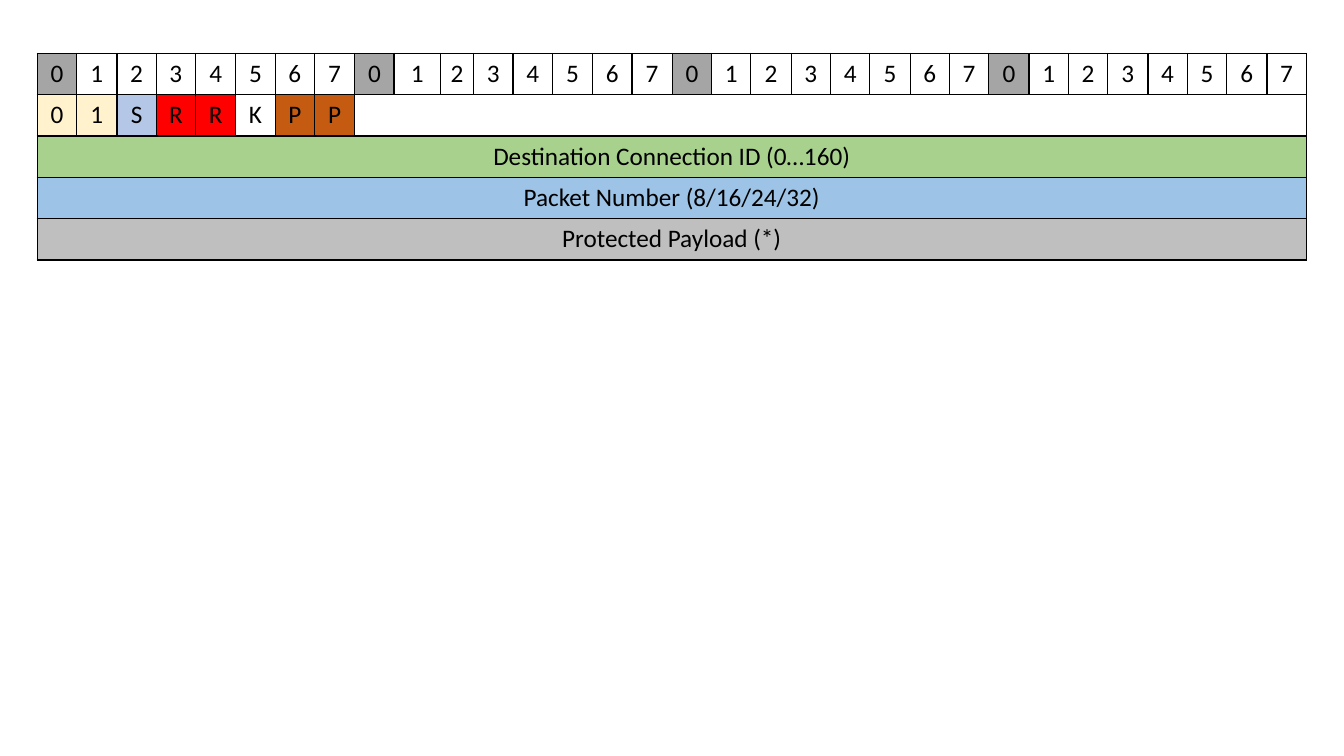
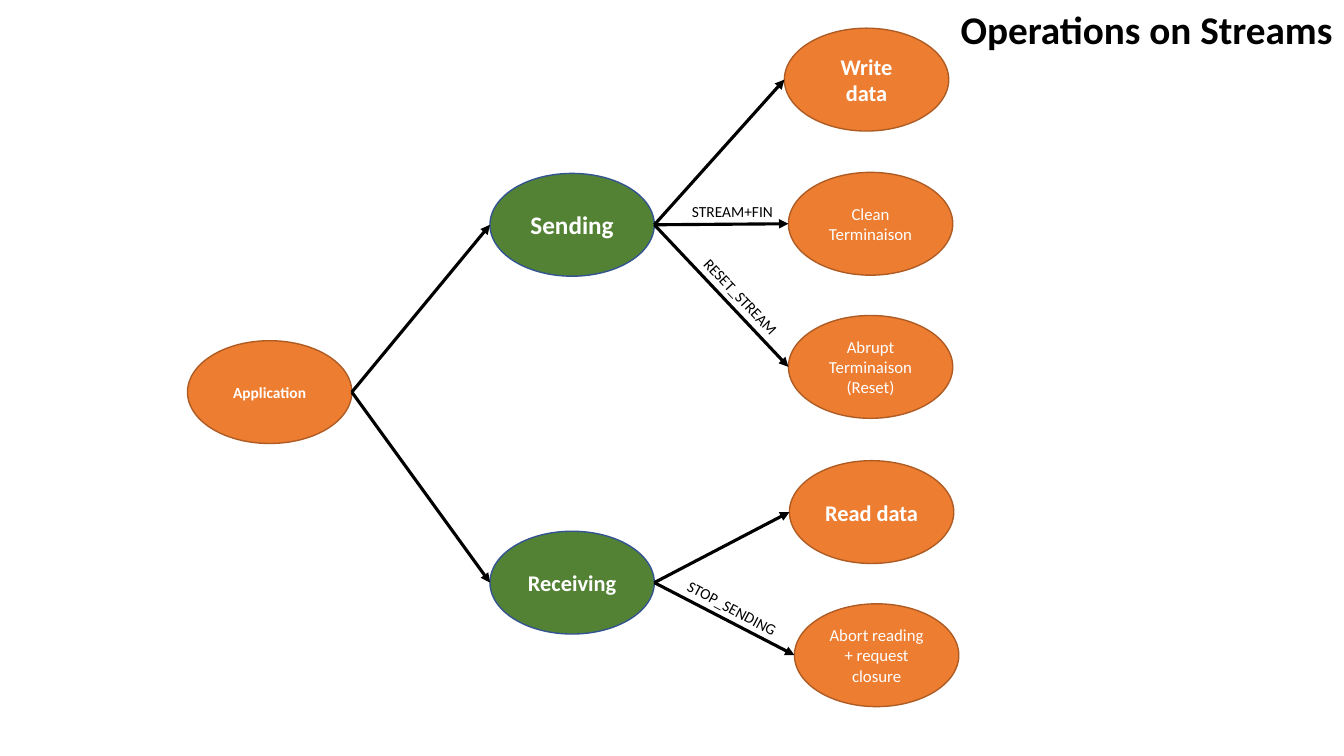
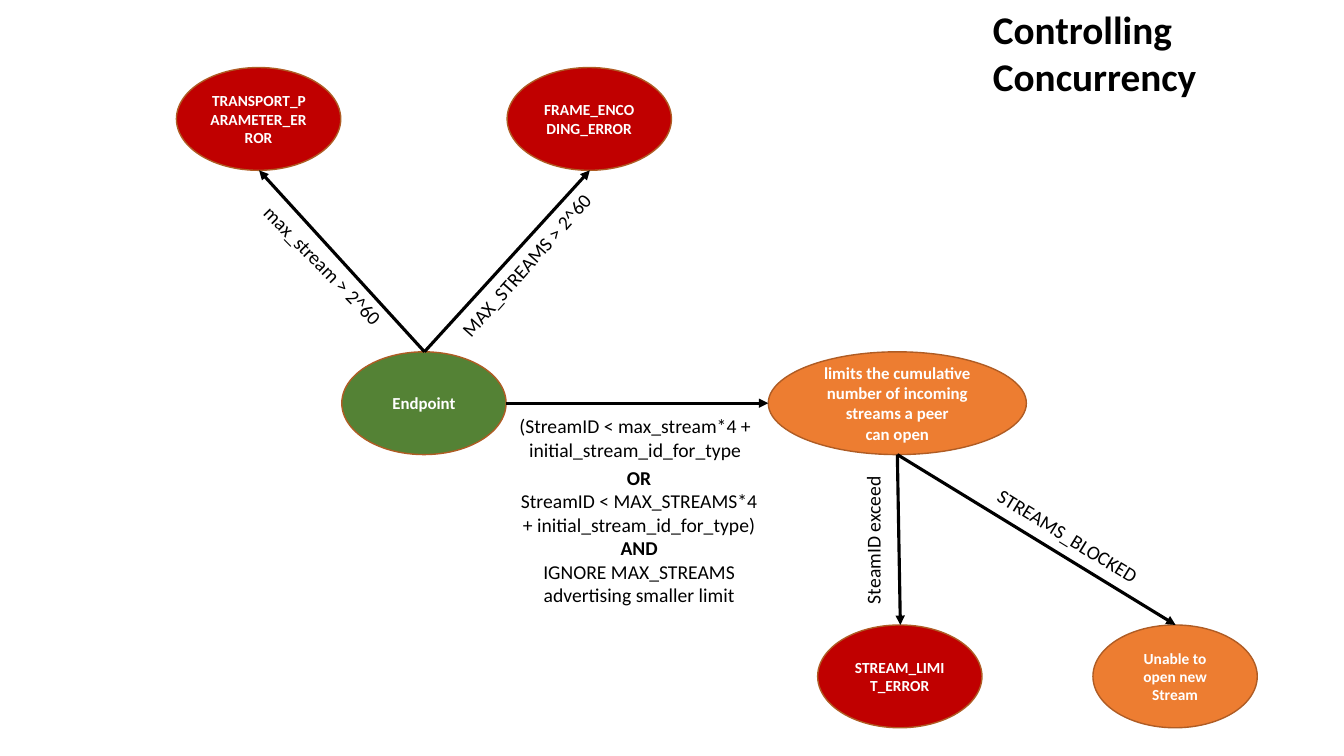
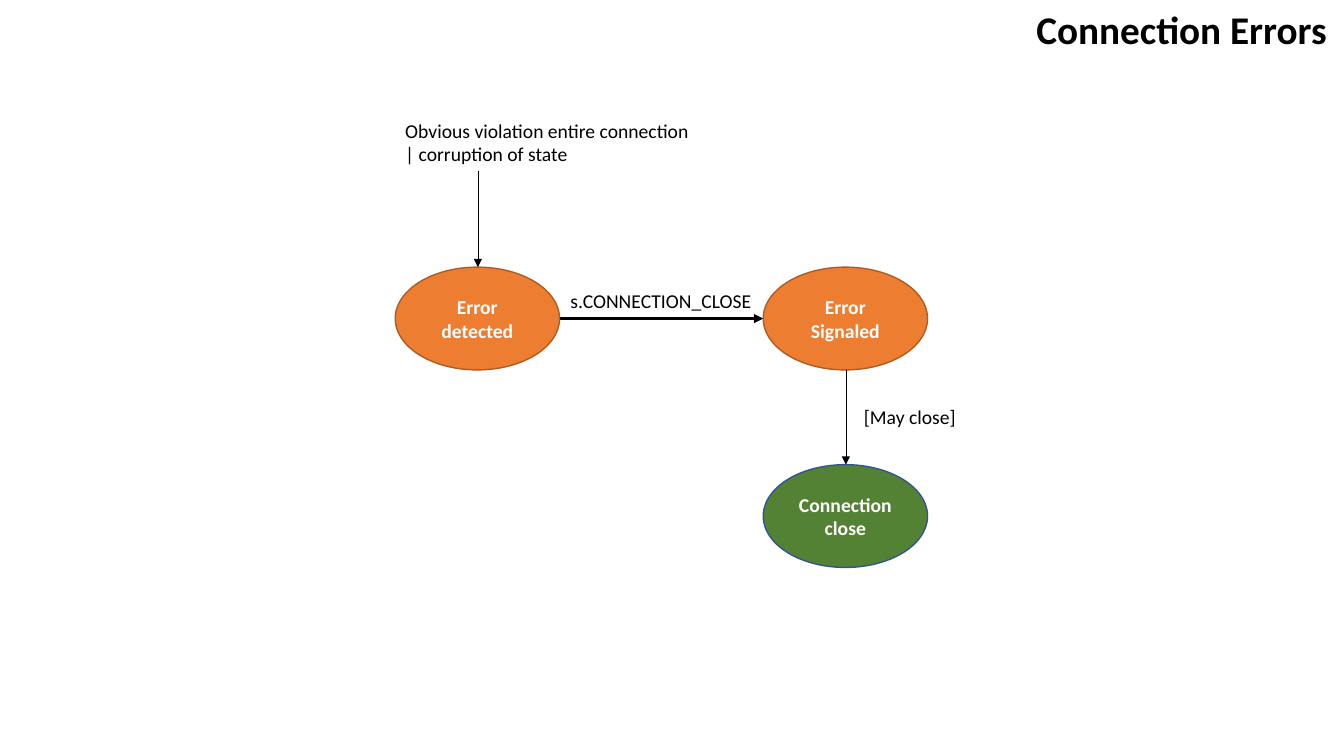
from lxml import etree
from pptx import Presentation
from pptx import util as u
from pptx.dml.color import RGBColor
from pptx.enum import shapes, text
from pptx.oxml.ns import qn

PX = 9144  # 100 px to the inch
FONT = "Calibri"
BLACK = RGBColor(0x00, 0x00, 0x00)
WHITE = RGBColor(0xFF, 0xFF, 0xFF)
ORANGE = RGBColor(0xED, 0x7D, 0x31)
RUST = RGBColor(0xAF, 0x5C, 0x24)
GREEN = RGBColor(0x54, 0x82, 0x35)
NAVY = RGBColor(0x32, 0x54, 0x91)
DARK_RED = RGBColor(0xC0, 0x00, 0x00)
GREY = RGBColor(0xA5, 0xA5, 0xA5)
CREAM = RGBColor(0xFF, 0xF2, 0xCC)
PALE_BLUE = RGBColor(0xB4, 0xC7, 0xE7)
RED = RGBColor(0xFF, 0x00, 0x00)
BROWN = RGBColor(0xC5, 0x5A, 0x11)
LIGHT_GREEN = RGBColor(0xA9, 0xD1, 0x8E)
SKY_BLUE = RGBColor(0x9D, 0xC3, 0xE6)
SILVER = RGBColor(0xBF, 0xBF, 0xBF)

CENTER = text.PP_ALIGN.CENTER
LEFT = text.PP_ALIGN.LEFT
ELLIPSE_WIDTH, ELLIPSE_HEIGHT = 163, 102
THICK, THIN = 2.25, 0.5
BOLD_WORDS = ("OR", "AND")

# Fill and outline of each kind of ellipse
STATE = (ORANGE, RUST)
HUB = (GREEN, NAVY)
ENDPOINT = (GREEN, RUST)
ERROR = (DARK_RED, RUST)


def write_text(frame, lines, size, color, align, bold=False):
    for index, line in enumerate(lines):
        paragraph = frame.paragraphs[0] if index == 0 else frame.add_paragraph()
        paragraph.alignment = align
        run = paragraph.add_run()
        run.text = line
        run.font.name = FONT
        run.font.size = u.Pt(size)
        run.font.bold = bold or line in BOLD_WORDS
        run.font.color.rgb = color


def add_label(slide, box, lines, size, align, wrap, bold=False, rotation=0):
    label = slide.shapes.add_textbox(*(length * PX for length in box))
    label.rotation = rotation
    label.text_frame.word_wrap = wrap
    label.text_frame.auto_size = text.MSO_AUTO_SIZE.SHAPE_TO_FIT_TEXT
    write_text(label.text_frame, lines, size, BLACK, align, bold)


presentation = Presentation()
presentation.slide_width = 1333 * PX
presentation.slide_height = 750 * PX
blank_layout = presentation.slide_layouts[6]

# Packet header table: (text, columns spanned, fill) for each cell
byte_cells = [(str(bit), 1, WHITE if bit else GREY) for bit in range(8)]
header_rows = [
    byte_cells * 4,
    [("0", 1, CREAM), ("1", 1, CREAM), ("S", 1, PALE_BLUE), ("R", 1, RED), ("R", 1, RED),
     ("K", 1, WHITE), ("P", 1, BROWN), ("P", 1, BROWN), ("", 24, WHITE)],
    [("Destination Connection ID (0…160)", 32, LIGHT_GREEN)],
    [("Packet Number (8/16/24/32)", 32, SKY_BLUE)],
    [("Protected Payload (*)", 32, SILVER)],
]
BITS, TABLE_WIDTH, ROW_HEIGHT = 32, 1259, 41
slide = presentation.slides.add_slide(blank_layout)
table = slide.shapes.add_table(
    len(header_rows), BITS, 37 * PX, 53 * PX,
    TABLE_WIDTH * PX, len(header_rows) * ROW_HEIGHT * PX).table
table.first_row = table.horz_banding = False

edges = [round(TABLE_WIDTH * bit / BITS) for bit in range(BITS + 1)]
edges[10] += 7  # the tenth column is wider than the next
for column, start, end in zip(table.columns, edges, edges[1:]):
    column.width = (end - start) * PX

for row_index, row_cells in enumerate(header_rows):
    table.rows[row_index].height = ROW_HEIGHT * PX
    for cell in table.rows[row_index].cells:
        properties = cell._tc.get_or_add_tcPr()
        for side in ("a:lnL", "a:lnR", "a:lnT", "a:lnB"):
            border = etree.SubElement(properties, qn(side), w=str(u.Pt(1)))
            border_fill = etree.SubElement(border, qn("a:solidFill"))
            etree.SubElement(border_fill, qn("a:srgbClr"), val=str(BLACK))
    column_index = 0
    for content, span, fill in row_cells:
        cell = table.cell(row_index, column_index)
        if span > 1:
            cell.merge(table.cell(row_index, column_index + span - 1))
        cell.fill.solid()
        cell.fill.fore_color.rgb = fill
        if content:
            write_text(cell.text_frame, [content], 18, BLACK, CENTER)
        column_index += span

# Diagrams
# ellipses: name: (left, top, width, kind, size, bold, lines)
# arrows: (start, end, weight), each end an (ellipse, side) or a point
# labels: (box, rotation, size, alignment, lines)
diagrams = [
    {
        "title": ("Operations on Streams", (943, 0, 390, 57)),
        "wrap_labels": False,
        "ellipses": {
            "application": (186, 338, ELLIPSE_WIDTH, STATE, 11, True, ["Application"]),
            "sending": (486, 172, ELLIPSE_WIDTH, HUB, 18, True, ["Sending"]),
            "receiving": (486, 527, ELLIPSE_WIDTH, HUB, 16, True, ["Receiving"]),
            "write": (778, 28, ELLIPSE_WIDTH, STATE, 16, True, ["Write data"]),
            "clean": (782, 171, ELLIPSE_WIDTH, STATE, 12, False, ["Clean Terminaison"]),
            "abrupt": (782, 313, ELLIPSE_WIDTH, STATE, 12, False,
                       ["Abrupt Terminaison (Reset)"]),
            "read": (783, 457, ELLIPSE_WIDTH, STATE, 16, True, ["Read data"]),
            "abort": (788, 599, ELLIPSE_WIDTH, STATE, 12, False,
                      ["Abort reading + request closure"]),
        },
        "arrows": [
            ((source, "right"), (target, "left"), THICK)
            for source, targets in (
                ("application", ("sending", "receiving")),
                ("sending", ("write", "clean", "abrupt")),
                ("receiving", ("read", "abort")))
            for target in targets
        ],
        "labels": [
            ((676, 196, 101, 29), 0, 11, CENTER, ["STREAM+FIN"]),
            ((675, 280, 119, 29), 46.6, 11, CENTER, ["RESET_STREAM"]),
            ((667, 589, 118, 29), 28.2, 11, CENTER, ["STOP_SENDING"]),
        ],
    },
    {
        "title": ("Controlling Concurrency", (975, 0, 359, 104)),
        "wrap_labels": True,
        "ellipses": {
            "endpoint": (339, 349, ELLIPSE_WIDTH, ENDPOINT, 12, True, ["Endpoint"]),
            "limits": (762, 349, 256, STATE, 12, True,
                       ["limits the cumulative number of incoming streams a peer",
                        "can open"]),
            "transport": (175, 67, ELLIPSE_WIDTH, ERROR, 11, True,
                          ["TRANSPORT_PARAMETER_ERROR"]),
            "frame": (503, 67, ELLIPSE_WIDTH, ERROR, 11, True, ["FRAME_ENCODING_ERROR"]),
            "stream limit": (811, 620, ELLIPSE_WIDTH, ERROR, 11, True,
                             ["STREAM_LIMIT_ERROR"]),
            "unable": (1084, 620, ELLIPSE_WIDTH, STATE, 11, True,
                       ["Unable to open new Stream"]),
        },
        "arrows": [
            (("endpoint", "right"), ("limits", "left"), THICK),
            (("endpoint", "top"), ("transport", "bottom"), THICK),
            (("endpoint", "top"), ("frame", "bottom"), THICK),
            (("limits", "bottom"), ("stream limit", "top"), THICK),
            (("limits", "bottom"), ("unable", "top"), THICK),
        ],
        "labels": [
            ((502, 406, 256, 57), 0, 14, CENTER,
             ["(StreamID < max_stream*4 + initial_stream_id_for_type"]),
            ((506, 457, 256, 175), 0, 14, CENTER,
             ["OR", "StreamID < MAX_STREAMS*4 + initial_stream_id_for_type)",
              "AND", "IGNORE MAX_STREAMS advertising smaller limit"]),
            ((407, 246, 230, 34), 311.7, 14, CENTER, ["MAX_STREAMS > 2^60"]),
            ((205, 246, 230, 34), 45.5, 14, CENTER, ["max_stream > 2^60"]),
            ((751, 519, 230, 34), 270, 14, CENTER, ["SteamID exceed"]),
            ((944, 515, 230, 34), 31.6, 14, CENTER, ["STREAMS_BLOCKED"]),
        ],
    },
    {
        "title": ("Connection Errors", (1018, 0, 315, 57)),
        "wrap_labels": False,
        "ellipses": {
            "detected": (392, 265, ELLIPSE_WIDTH, STATE, 14, True, ["Error detected"]),
            "signaled": (757, 265, ELLIPSE_WIDTH, STATE, 14, True, ["Error Signaled"]),
            "close": (757, 461, ELLIPSE_WIDTH, HUB, 14, True, ["Connection close"]),
        },
        "arrows": [
            ((474, 170), ("detected", "top"), THIN),
            (("detected", "right"), ("signaled", "left"), THICK),
            (("signaled", "bottom"), ("close", "top"), THIN),
        ],
        "labels": [
            ((392, 113, 305, 57), 0, 14, LEFT,
             ["Obvious violation entire connection", "| corruption of state"]),
            ((556, 282, 201, 34), 0, 14, LEFT, ["s.CONNECTION_CLOSE"]),
            ((847, 397, 112, 34), 0, 14, LEFT, ["[May close]"]),
        ],
    },
]

for diagram in diagrams:
    slide = presentation.slides.add_slide(blank_layout)
    title, title_box = diagram["title"]
    add_label(slide, title_box, [title], 28, LEFT, True, bold=True)

    # Ellipses, with the points where arrows may meet them
    anchors = {}
    for name, ellipse in diagram["ellipses"].items():
        left, top, width, (fill, outline), size, bold, lines = ellipse
        shape = slide.shapes.add_shape(
            shapes.MSO_SHAPE.OVAL, left * PX, top * PX, width * PX, ELLIPSE_HEIGHT * PX)
        shape.shadow.inherit = False
        shape.fill.solid()
        shape.fill.fore_color.rgb = fill
        shape.line.color.rgb = outline
        shape.line.width = u.Pt(1)
        shape.text_frame.word_wrap = True
        shape.text_frame.vertical_anchor = text.MSO_ANCHOR.MIDDLE
        write_text(shape.text_frame, lines, size, WHITE, CENTER, bold)
        middle_x, middle_y = left + round(width / 2), top + ELLIPSE_HEIGHT // 2
        anchors[name, "left"] = (left, middle_y)
        anchors[name, "right"] = (left + width, middle_y)
        anchors[name, "top"] = (middle_x, top)
        anchors[name, "bottom"] = (middle_x, top + ELLIPSE_HEIGHT)

    # Arrows
    for start, end, weight in diagram["arrows"]:
        points = anchors.get(start, start) + anchors[end]
        arrow = slide.shapes.add_connector(
            shapes.MSO_CONNECTOR.STRAIGHT, *(length * PX for length in points))
        arrow.line.color.rgb = BLACK
        arrow.line.width = u.Pt(weight)
        etree.SubElement(arrow.line._get_or_add_ln(), qn("a:tailEnd"), type="triangle")
        etree.SubElement(arrow._element.spPr, qn("a:effectLst"))

    # Labels
    for box, rotation, size, align, lines in diagram["labels"]:
        add_label(slide, box, lines, size, align, diagram["wrap_labels"], rotation=rotation)

presentation.save("out.pptx")
